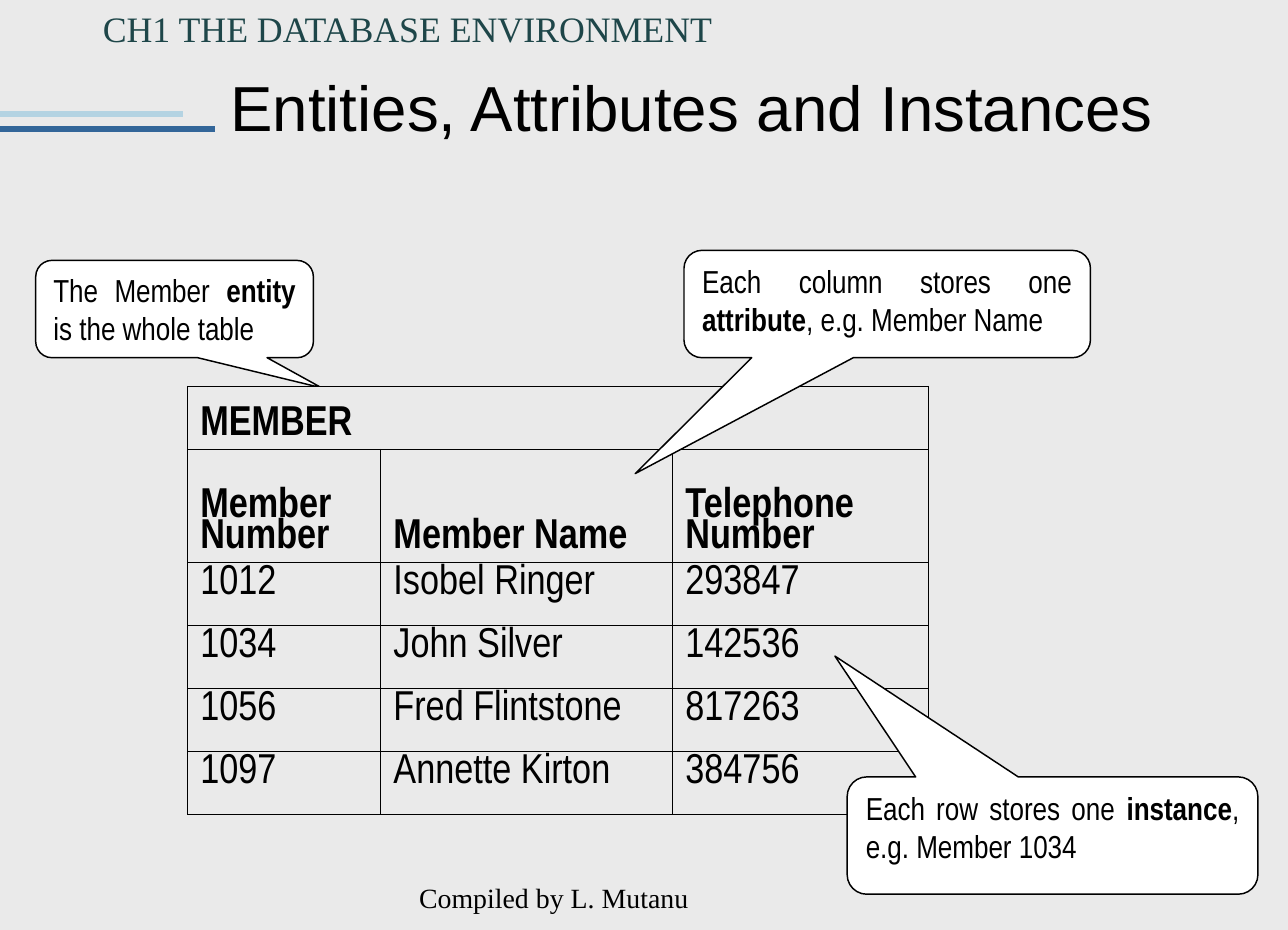
from dataclasses import dataclass

from lxml import etree
from pptx import Presentation
from pptx import util as u
from pptx.dml.color import RGBColor
from pptx.enum import shapes, text
from pptx.oxml import parse_xml
from pptx.oxml.ns import nsdecls, qn

COLUMNS, ROWS = 180, 130
UNIT = u.Inches(9) / COLUMNS
BLACK, WHITE, PAPER = "000000", "FFFFFF", "EAEAEA"
NARROW, SERIF = "Arial Narrow", "Times New Roman"


@dataclass
class Box:
    """A place on the slide, in grid columns and rows."""
    col: float
    row: float
    width: float
    height: float

    def emu(self) -> list[int]:
        return [grid(n) for n in (self.col, self.row, self.width, self.height)]


@dataclass
class Callout:
    box: Box
    tip: tuple[float, float]  # from the centre, as shares of the box
    before: str
    term: str
    after: str


@dataclass
class Label:
    box: Box
    words: str
    size: float
    color: str


@dataclass
class Rule:
    row: float
    length: float
    color: str


RULES = [Rule(18, 30, "336699"), Rule(16, 25.6, "B4D3E2")]
LABELS = [
    Label(Box(56.6, 122.2, 44, 6.8), "Compiled by L. Mutanu", 14, BLACK),
    Label(Box(12.4, 0, 95.6, 8), "CH1 THE DATABASE ENVIRONMENT", 18, "1E4649"),
]
ENTITY = Callout(Box(5, 36.4, 38.8, 13.6), (0.53, 0.81),
                 "The Member ", "entity", " is the whole table")
ATTRIBUTE = Callout(Box(95.6, 35, 56.8, 15), (-0.62, 1.58),
                    "Each column stores one ", "attribute", ", e.g. Member Name")
INSTANCE = Callout(Box(118.4, 108.6, 57.4, 16.4), (-0.53, -1.53),
                   "Each row stores one ", "instance", ", e.g. Member 1034")

MEMBER_BOX = Box(26.2, 54, 103.6, 59.8)
MEMBER_WIDTHS = [27, 40.8, 35.8]
MEMBER_HEIGHTS = [8.8, 15.8] + [8.8] * 4
HEADER_ROWS = 2
MEMBERS = [
    ["MEMBER", "", ""],
    ["Member Number", "Member Name", "Telephone Number"],
    ["1012", "Isobel Ringer", "293847"],
    ["1034", "John Silver", "142536"],
    ["1056", "Fred Flintstone", "817263"],
    ["1097", "Annette Kirton", "384756"],
]


def grid(count: float) -> int:
    return round(count * UNIT)


def rgb(color: str) -> RGBColor:
    return RGBColor.from_string(color)


def set_font(paragraph, name: str, size: float, color: str = BLACK) -> None:
    paragraph.font.name = name
    paragraph.font.size = u.Pt(size)
    paragraph.font.color.rgb = rgb(color)


def set_margins(holder, side: float, top: float) -> None:
    holder.margin_left = holder.margin_right = u.Inches(side)
    holder.margin_top = holder.margin_bottom = u.Inches(top)


def draw_rule(slide, rule: Rule) -> None:
    y = grid(rule.row)
    line = slide.shapes.add_connector(
        shapes.MSO_CONNECTOR.STRAIGHT, 0, y, grid(rule.length), y)
    line.line.color.rgb = rgb(rule.color)
    line.line.width = u.Pt(3)
    etree.SubElement(line._element.spPr, qn("a:effectLst"))


def draw_label(slide, label: Label) -> None:
    frame = slide.shapes.add_textbox(*label.box.emu()).text_frame
    frame.word_wrap = True
    frame.text = label.words
    set_font(frame.paragraphs[0], SERIF, label.size, label.color)


def draw_title(slide, words: str) -> None:
    title = slide.shapes.title
    title.left, title.top, title.width, title.height = Box(30.4, 9, 142.6, 11.6).emu()
    frame = title.text_frame
    frame.text = words
    frame.auto_size = text.MSO_AUTO_SIZE.NONE
    frame.vertical_anchor = text.MSO_ANCHOR.MIDDLE
    set_margins(frame, 0.09, 0.04)
    heading = frame.paragraphs[0]
    heading.alignment = text.PP_ALIGN.LEFT
    set_font(heading, "Arial", 32)


def draw_callout(slide, callout: Callout) -> None:
    bubble = slide.shapes.add_shape(
        shapes.MSO_SHAPE.ROUNDED_RECTANGULAR_CALLOUT, *callout.box.emu())
    bubble.shadow.inherit = False
    bubble.adjustments[0], bubble.adjustments[1] = callout.tip
    bubble.fill.solid()
    bubble.fill.fore_color.rgb = rgb(WHITE)
    bubble.line.color.rgb = rgb(BLACK)
    bubble.line.width = u.Pt(0.75)
    frame = bubble.text_frame
    frame.word_wrap = True
    frame.vertical_anchor = text.MSO_ANCHOR.TOP
    set_margins(frame, 0.09, 0.04)
    sentence = frame.paragraphs[0]
    sentence.alignment = text.PP_ALIGN.JUSTIFY
    set_font(sentence, NARROW, 16)
    for words in (callout.before, callout.term, callout.after):
        run = sentence.add_run()
        run.text = words
        run.font.bold = words == callout.term


def add_borders(cell) -> None:
    """Put the four borders ahead of the cell's fill, as the schema asks."""
    for place, side in enumerate(("lnL", "lnR", "lnT", "lnB")):
        cell._tc.get_or_add_tcPr().insert(place, parse_xml(
            f'<a:{side} {nsdecls("a")} w="{u.Pt(0.45)}"><a:solidFill>'
            f'<a:srgbClr val="{BLACK}"/></a:solidFill></a:{side}>'))


def fill_cell(cell, words: str, header: bool) -> None:
    cell.text = words
    cell.fill.solid()
    cell.fill.fore_color.rgb = rgb(PAPER)
    cell.vertical_anchor = text.MSO_ANCHOR.BOTTOM if header else text.MSO_ANCHOR.TOP
    set_margins(cell, 0.09, 0.05)
    entry = cell.text_frame.paragraphs[0]
    entry.alignment = text.PP_ALIGN.LEFT if header else text.PP_ALIGN.JUSTIFY
    entry.line_spacing = 0.8
    set_font(entry, NARROW, 21)
    entry.font.bold = header
    add_borders(cell)


def draw_members(slide) -> None:
    table = slide.shapes.add_table(
        len(MEMBERS), len(MEMBER_WIDTHS), *MEMBER_BOX.emu()).table
    table.first_row = table.horz_banding = False
    for column, width in zip(table.columns, MEMBER_WIDTHS):
        column.width = grid(width)
    for r, (height, record) in enumerate(zip(MEMBER_HEIGHTS, MEMBERS)):
        table.rows[r].height = grid(height)
        for c, words in enumerate(record):
            fill_cell(table.cell(r, c), words, r < HEADER_ROWS)
    table.cell(0, 0).merge(table.cell(0, len(MEMBER_WIDTHS) - 1))


def main() -> None:
    deck = Presentation()
    deck.slide_width, deck.slide_height = grid(COLUMNS), grid(ROWS)
    slide = deck.slides.add_slide(deck.slide_layouts[5])
    slide.background.fill.solid()
    slide.background.fill.fore_color.rgb = rgb(PAPER)
    for rule in RULES:
        draw_rule(slide, rule)
    for label in LABELS:
        draw_label(slide, label)
    draw_title(slide, "Entities, Attributes and Instances")
    draw_callout(slide, ENTITY)
    draw_members(slide)
    draw_callout(slide, ATTRIBUTE)
    draw_callout(slide, INSTANCE)
    deck.save("out.pptx")


if __name__ == "__main__":
    main()
